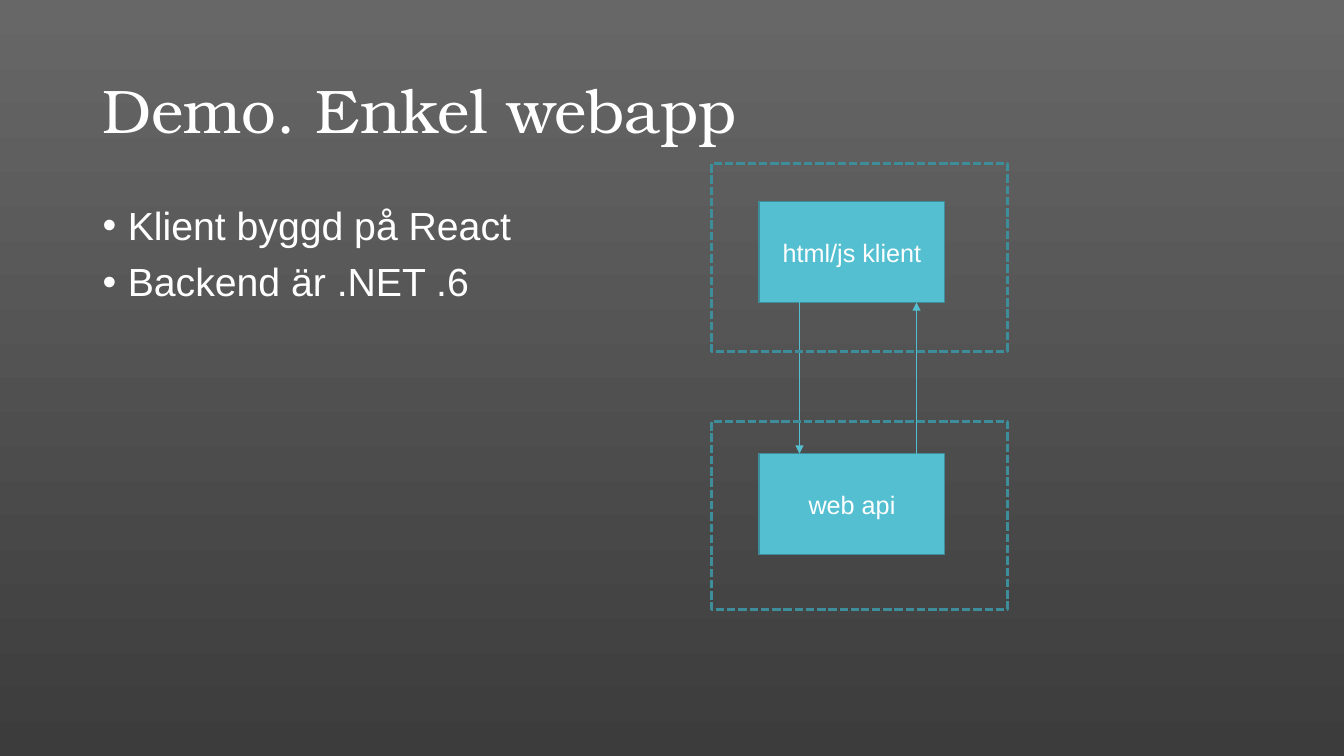
"""Build the slide for the simple web app demo."""
from lxml import etree
from pptx import Presentation
from pptx.dml.color import RGBColor
from pptx.enum.dml import MSO_LINE
from pptx.enum.shapes import MSO_CONNECTOR, MSO_SHAPE
from pptx.enum.text import MSO_ANCHOR, PP_ALIGN
from pptx.oxml.ns import qn
from pptx.util import Inches, Pt

RECT = MSO_SHAPE.RECTANGLE
STRAIGHT = MSO_CONNECTOR.STRAIGHT
DASH = MSO_LINE.SQUARE_DOT
MIDDLE = MSO_ANCHOR.MIDDLE
CENTER = PP_ALIGN.CENTER

WHITE = RGBColor(0xFF, 0xFF, 0xFF)
TEAL = RGBColor(0x54, 0xBF, 0xD1)
DARK_TEAL = RGBColor(0x3E, 0x8D, 0x9B)
GRAY_TOP = RGBColor(0x68, 0x67, 0x67)
GRAY_BOTTOM = RGBColor(0x3D, 0x3C, 0x3C)
HEAD_FONT = "TeX Gyre Bonum"
BODY_FONT = "Arial"


def add_run(p, text, size, font=BODY_FONT):
    """Add a white run to a paragraph."""
    r = p.add_run()
    r.text = text
    r.font.size = Pt(size)
    r.font.name = font
    r.font.color.rgb = WHITE


def add_textbox(s, x, y, w, h):
    """Add a wrapping text box and return its text frame."""
    tf = s.shapes.add_textbox(Inches(x), Inches(y), Inches(w), Inches(h)).text_frame
    tf.word_wrap = True
    return tf


def add_background(s):
    """Fill the background with a vertical gray gradient."""
    fill = s.background.fill
    fill.gradient()
    fill.gradient_angle = 270
    for stop, color in zip(fill.gradient_stops, (GRAY_TOP, GRAY_BOTTOM)):
        stop.color.rgb = color


def add_title(s, x, y, w, h, text):
    """Add the slide title."""
    tf = add_textbox(s, x, y, w, h)
    tf.vertical_anchor = MIDDLE
    p = tf.paragraphs[0]
    p.line_spacing = 0.9
    add_run(p, text, 44, HEAD_FONT)


def add_bullets(s, x, y, w, h, items):
    """Add a bulleted list."""
    tf = add_textbox(s, x, y, w, h)
    for i, item in enumerate(items):
        p = tf.add_paragraph() if i else tf.paragraphs[0]
        p.line_spacing = 0.9
        p.space_before = Pt(10)
        pPr = p._p.get_or_add_pPr()
        pPr.set("marL", str(Inches(0.25)))
        pPr.set("indent", str(Inches(-0.25)))
        etree.SubElement(pPr, qn("a:buFont")).set("typeface", BODY_FONT)
        etree.SubElement(pPr, qn("a:buChar")).set("char", "•")
        add_run(p, item, 28)


def add_rect(s, x, y, w, h, line_width):
    """Add an outlined rectangle without fill or shadow."""
    sp = s.shapes.add_shape(RECT, Inches(x), Inches(y), Inches(w), Inches(h))
    sp.shadow.inherit = False
    sp.fill.background()
    sp.line.color.rgb = DARK_TEAL
    sp.line.width = Pt(line_width)
    return sp


def add_node(s, x, y, w, h, text):
    """Add a filled, labelled box."""
    sp = add_rect(s, x, y, w, h, 1)
    sp.fill.solid()
    sp.fill.fore_color.rgb = TEAL
    tf = sp.text_frame
    tf.word_wrap = True
    tf.vertical_anchor = MIDDLE
    p = tf.paragraphs[0]
    p.alignment = CENTER
    add_run(p, text, 18)


def add_arrow(s, x, y1, y2):
    """Add a vertical arrow pointing at y2."""
    cxn = s.shapes.add_connector(STRAIGHT, Inches(x), Inches(y1), Inches(x), Inches(y2))
    cxn.line.color.rgb = TEAL
    cxn.line.width = Pt(0.5)
    etree.SubElement(cxn.line._get_or_add_ln(), qn("a:tailEnd")).set("type", "triangle")
    etree.SubElement(cxn._element.spPr, qn("a:effectLst"))


def add_diagram(s, x, y, w, h):
    """Add client and API boxes, their arrows and dashed frames."""
    node_x, node_w, node_h, frame_h = x + 0.47, 1.84, 1, 1.87
    client_y, api_y = y + 0.38, y + 2.88
    add_node(s, node_x, client_y, node_w, node_h, "html/js klient")
    add_node(s, node_x, api_y, node_w, node_h, "web api")
    add_arrow(s, node_x + 0.4, client_y + node_h, api_y)
    add_arrow(s, node_x + 1.56, api_y, client_y + node_h)
    for frame_y in (y + h - frame_h, y):
        frame = add_rect(s, x, frame_y, w, frame_h, 2)
        frame.line.dash_style = DASH


def main():
    """Build and save the presentation."""
    prs = Presentation()
    prs.slide_width, prs.slide_height = Inches(13.33), Inches(7.5)
    s = prs.slides.add_slide(prs.slide_layouts[6])
    add_background(s)
    add_title(s, 0.92, 0.4, 11.5, 1.45, "Demo. Enkel webapp")
    add_bullets(s, 0.92, 2, 11.5, 4.76, ("Klient byggd på React", "Backend är .NET .6"))
    add_diagram(s, 7.06, 1.62, 2.93, 4.43)
    prs.save("out.pptx")


main()
